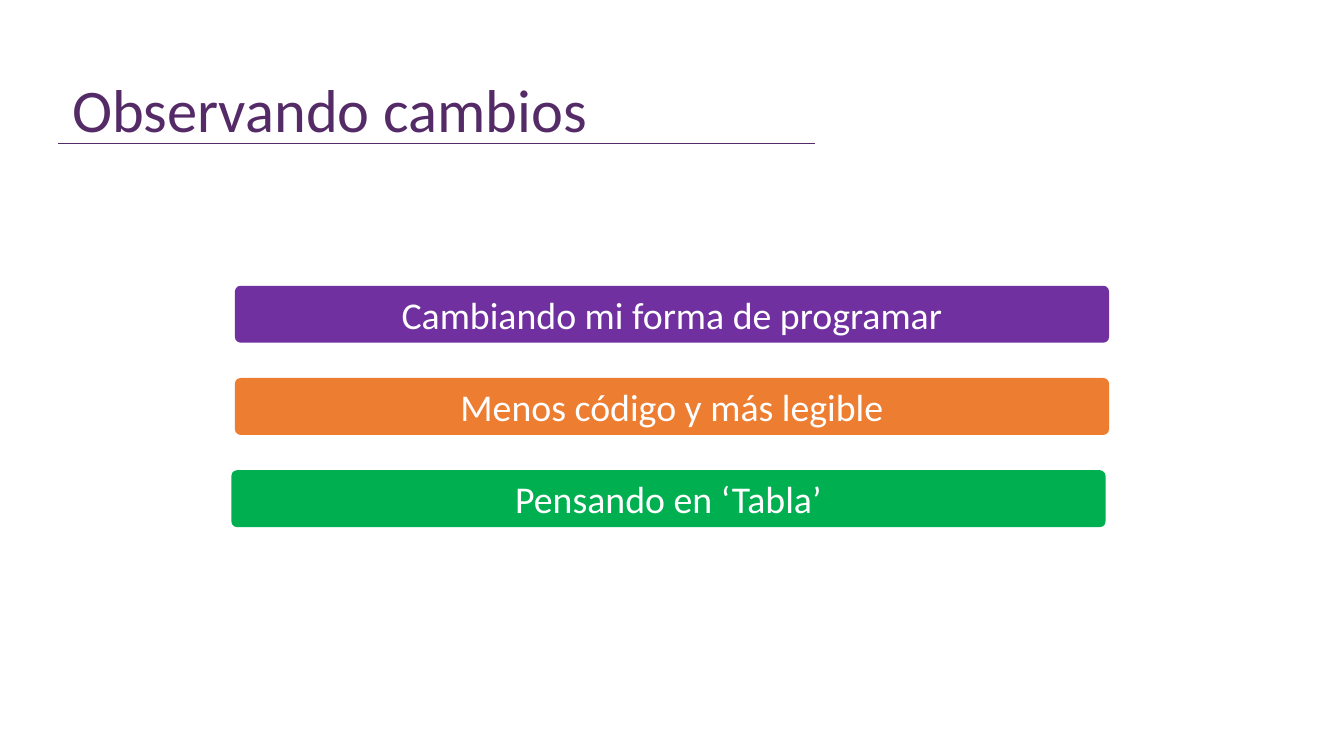
from dataclasses import dataclass

from pptx import Presentation
from pptx.dml.color import RGBColor as RGB
from pptx.enum.shapes import MSO_CONNECTOR as Connector, MSO_SHAPE as Shape
from pptx.enum.text import MSO_ANCHOR as Anchor, PP_ALIGN as Align
from pptx.oxml.ns import qn
from pptx.util import Inches, Pt
from lxml.etree import SubElement


@dataclass(frozen=True)
class Theme:
    font: str = "Calibri"
    title_size: float = 86.4
    bar_size: float = 54
    heading: str = "552B67"
    on_bar: str = "FFFFFF"
    purple: str = "7030A0"
    orange: str = "ED7D31"
    green: str = "00B050"


def write(frame, text, *, font, size, color, align=Align.LEFT,
          anchor=Anchor.MIDDLE, spacing=1.0):
    frame.word_wrap = True
    frame.vertical_anchor = anchor
    paragraph = frame.paragraphs[0]
    paragraph.alignment = align
    paragraph.line_spacing = spacing
    run = paragraph.add_run()
    run.text = text
    run.font.name = font
    run.font.size = Pt(size)
    run.font.color.rgb = RGB.from_string(color)


class SlideBuilder:
    def __init__(self, slide, theme):
        self.slide = slide
        self.theme = theme

    def rule(self, left, top, width):
        underline = self.slide.shapes.add_connector(
            Connector.STRAIGHT, Inches(left), Inches(top),
            Inches(left + width), Inches(top))
        underline.line.color.rgb = RGB.from_string(self.theme.heading)
        underline.line.width = Pt(0.5)
        SubElement(underline._element.spPr, qn("a:effectLst"))

    def title(self, text, left, top, width, height):
        heading = self.slide.shapes.add_textbox(
            Inches(left), Inches(top), Inches(width), Inches(height))
        write(heading.text_frame, text, font=self.theme.font,
              size=self.theme.title_size, color=self.theme.heading,
              anchor=Anchor.BOTTOM, spacing=0.9)

    def bar(self, text, color, left, top, width, height):
        banner = self.slide.shapes.add_shape(
            Shape.ROUNDED_RECTANGLE, Inches(left), Inches(top),
            Inches(width), Inches(height))
        banner.adjustments[0] = 0.1
        banner.shadow.inherit = False
        banner.fill.solid()
        banner.fill.fore_color.rgb = RGB.from_string(color)
        banner.line.fill.background()
        write(banner.text_frame, text, font=self.theme.font,
              size=self.theme.bar_size, color=self.theme.on_bar,
              align=Align.CENTER)


def main():
    deck = Presentation()
    deck.slide_width, deck.slide_height = Inches(26.66), Inches(15)
    theme = Theme()
    builder = SlideBuilder(deck.slides.add_slide(deck.slide_layouts[6]), theme)

    builder.rule(1.16, 2.84, 15)
    builder.title("Observando cambios", 1.33, 1.41, 18.89, 1.53)

    changes = [
        ("Cambiando mi forma de programar", theme.purple, 4.66),
        ("Menos código y más legible", theme.orange, 4.66),
        ("Pensando en ‘Tabla’", theme.green, 4.59),
    ]
    first_top, pitch = 5.67, 1.83
    for row, (change, color, left) in enumerate(changes):
        builder.bar(change, color, left, first_top + row * pitch, 17.34, 1.13)

    deck.save("out.pptx")


if __name__ == "__main__":
    main()
